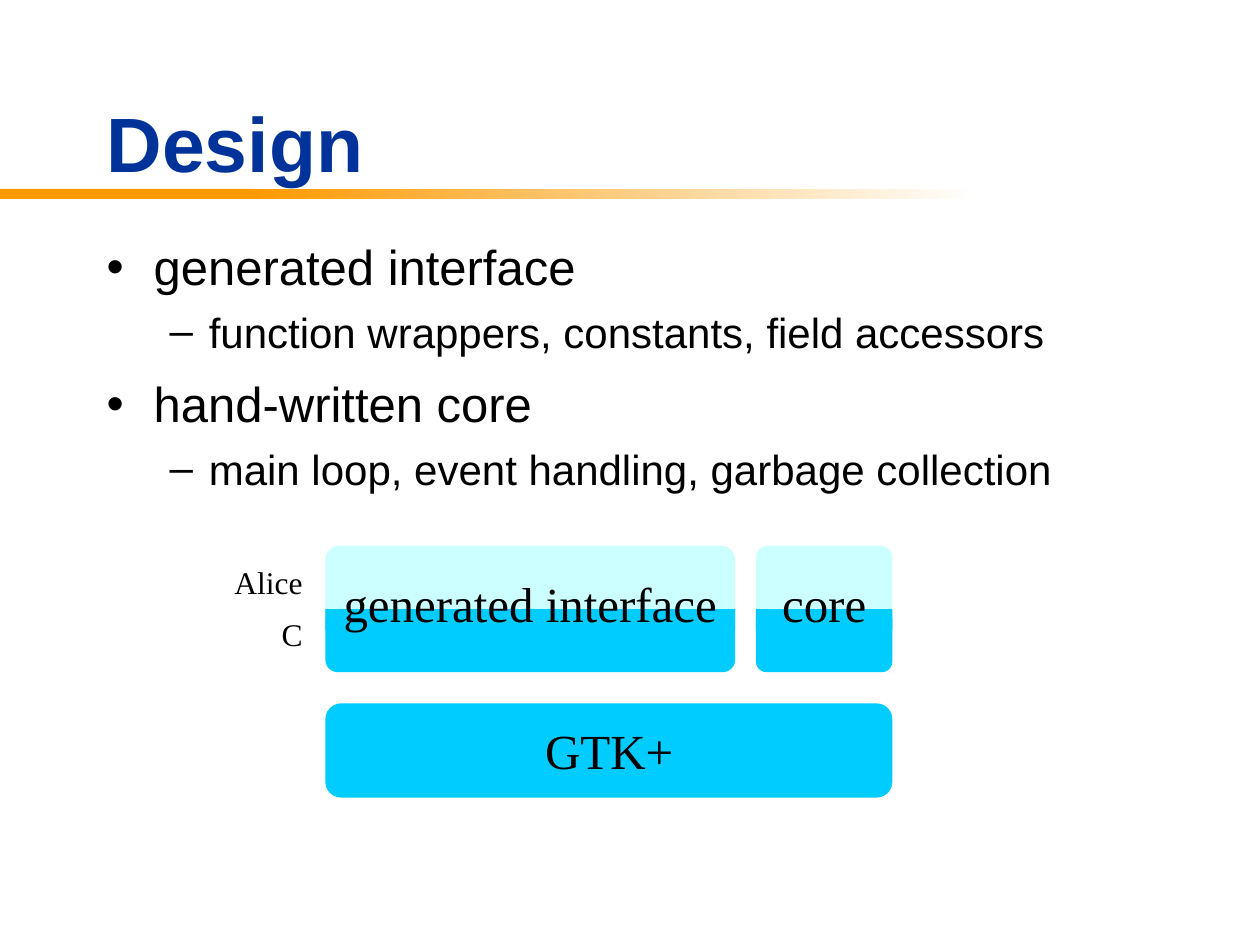
from lxml import etree
from pptx import Presentation
from pptx import util as u
from pptx.dml import color
from pptx.enum import shapes, text
from pptx.oxml import ns

COLORS = {
    "title": "003399",
    "rule": "FF9900",
    "paper": "FFFFFF",
    "ink": "000000",
    "alice": "CCFFFF",
    "c": "00CCFF",
}
SANS, SERIF = "Arial", "Times New Roman"
RECT = shapes.MSO_SHAPE.RECTANGLE
ROUNDED = shapes.MSO_SHAPE.ROUNDED_RECTANGLE
ALIGN = text.PP_ALIGN

# Bullet, left margin and hanging indent (cm), size and space before (pt)
LEVELS = [("•", 0.95, 0.95, 28, 7), ("–", 2.06, 0.79, 24, 6)]

# Layer diagram (cm)
STACK_LEFT, STACK_WIDTH = 6.56, 11.43
STACK_TOP, SEAM, STACK_BOTTOM = 11.0, 12.28, 13.55
SEAM_STRIP = 0.42


def rgb(name):
    return color.RGBColor.from_string(COLORS[name])


def add_box(page, left, top, width, height, anchor=text.MSO_ANCHOR.TOP):
    box = page.shapes.add_textbox(u.Cm(left), u.Cm(top), u.Cm(width), u.Cm(height))
    box.text_frame.word_wrap = True
    box.text_frame.vertical_anchor = anchor
    return box


def write(para, words, *, size, font=SANS, ink="ink", bold=False, align=ALIGN.LEFT):
    para.alignment = align
    span = para.add_run()
    span.text = words
    span.font.name = font
    span.font.size = u.Pt(size)
    span.font.bold = bold
    span.font.color.rgb = rgb(ink)


def set_bullet(para, mark, margin, hanging):
    props = para._p.get_or_add_pPr()
    props.set("marL", str(u.Cm(margin)))
    props.set("indent", str(-u.Cm(hanging)))
    bullet_color = etree.SubElement(props, ns.qn("a:buClr"))
    etree.SubElement(bullet_color, ns.qn("a:srgbClr"), val=COLORS["ink"])
    etree.SubElement(props, ns.qn("a:buFont"), typeface=SANS)
    etree.SubElement(props, ns.qn("a:buChar"), char=mark)


def add_bullets(page, top, height, lines):
    frame = add_box(page, 1.9, top, 21.59, height).text_frame
    for level, words in enumerate(lines):
        mark, margin, hanging, size, before = LEVELS[level]
        para = frame.add_paragraph() if level else frame.paragraphs[0]
        para.level = level
        set_bullet(para, mark, margin, hanging)
        if level:
            para.space_before = u.Pt(before)
        write(para, words, size=size)


def add_block(page, kind, left, top, width, height, fill):
    block = page.shapes.add_shape(
        kind, u.Cm(left), u.Cm(top), u.Cm(width), u.Cm(height))
    block.shadow.inherit = False
    block.line.fill.background()
    block.fill.solid()
    block.fill.fore_color.rgb = rgb(fill)
    return block


def add_label(page, words, left, top, width, height=1.45, size=28, align=ALIGN.CENTER):
    box = add_box(page, left, top, width, height)
    write(box.text_frame.paragraphs[0], words, size=size, font=SERIF, align=align)


def add_two_tone(page, words, left, width, upper, lower):
    """Rounded halves that overlap, with a strip making the seam straight."""
    add_block(page, ROUNDED, left, STACK_BOTTOM - lower, width, lower, "c")
    add_block(page, ROUNDED, left, STACK_TOP, width, upper, "alice")
    add_block(page, RECT, left, SEAM, width, SEAM_STRIP, "c")
    add_label(page, words, left, 11.43, width)


def add_title_rule(page):
    top, height = 3.81, 0.2
    fade = add_block(page, RECT, 5.08, top, 14.6, height, "rule")
    fade.fill.gradient()
    fade.fill.gradient_angle = 0
    for stop, name, position in zip(fade.fill.gradient_stops, ("rule", "paper"), (0, 1)):
        stop.color.rgb = rgb(name)
        stop.position = position
    add_block(page, RECT, 0, top, 5.08, height, "rule")


def main():
    deck = Presentation()
    deck.slide_width, deck.slide_height = u.Cm(25.4), u.Cm(19.05)
    page = deck.slides.add_slide(deck.slide_layouts[6])

    # Title and its rule
    add_title_rule(page)
    title = add_box(page, 1.9, 1.27, 21.59, 3.18, text.MSO_ANCHOR.MIDDLE)
    write(title.text_frame.paragraphs[0], "Design", size=44, ink="title", bold=True)

    # Two parts of the design
    add_bullets(page, 4.65, 2.75, [
        "generated interface", "function wrappers, constants, field accessors"])
    add_bullets(page, 7.41, 2.96, [
        "hand-written core", "main loop, event handling, garbage collection"])

    # Layers of the binding
    add_block(page, ROUNDED, STACK_LEFT, 14.18, STACK_WIDTH, 1.9, "c")
    add_label(page, "GTK+", 7.2, 14.4, 10.16)
    add_two_tone(page, "core", 15.24, 2.75, upper=1.48, lower=1.27)
    add_two_tone(page, "generated interface", STACK_LEFT, 8.26, upper=1.7, lower=1.48)

    # Language of each half
    for words, top in (("Alice", 11.22), ("C", 12.28)):
        add_label(page, words, 3.6, top, 2.75, 1.02, size=18, align=ALIGN.RIGHT)

    deck.save("out.pptx")


if __name__ == "__main__":
    main()
